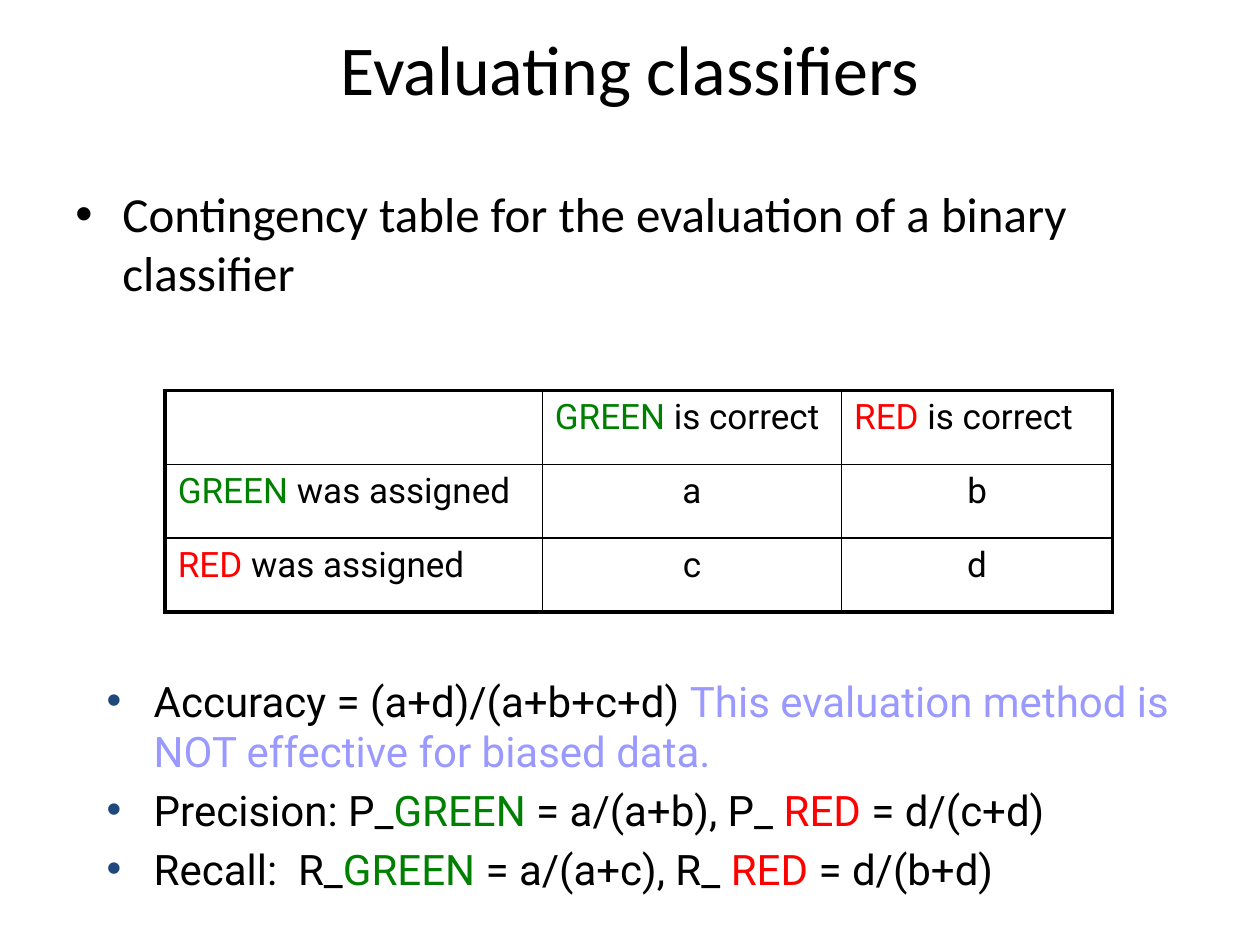
from lxml.etree import SubElement
from pptx import Presentation
from pptx.dml.color import RGBColor
from pptx.enum.text import MSO_ANCHOR as Anchor, PP_ALIGN as Align
from pptx.oxml.ns import qn
from pptx.util import Cm, Pt

BLACK = RGBColor(0, 0, 0)
GREEN = RGBColor(0, 0x80, 0)
RED = RGBColor(0xFF, 0, 0)
LILAC = RGBColor(0x99, 0x99, 0xFF)
NAVY = RGBColor(0x1F, 0x49, 0x7D)
THICK, THIN = Pt(2.25), Pt(1)


def write(paragraph, *runs, font="Roboto", size=24, align=Align.LEFT, before=0, bullet=None):
    paragraph.alignment = align
    paragraph.space_before = Pt(before)
    for words, color in runs:
        run = paragraph.add_run()
        run.text = words
        run.font.name = font
        run.font.size = Pt(size)
        run.font.color.rgb = color
    if bullet is not None:
        props = paragraph._p.get_or_add_pPr()
        props.set("marL", str(Cm(0.95)))
        props.set("indent", str(-Cm(0.95)))
        SubElement(SubElement(props, qn("a:buClr")), qn("a:srgbClr"), val=str(bullet))
        SubElement(props, qn("a:buFont"), typeface="Arial")
        SubElement(props, qn("a:buChar"), char="•")


def add_frame(slide, left, top, width, height, anchor=Anchor.TOP):
    frame = slide.shapes.add_textbox(left, top, width, height).text_frame
    frame.word_wrap = True
    frame.vertical_anchor = anchor
    return frame


def add_title(slide, *box):
    frame = add_frame(slide, *box, anchor=Anchor.MIDDLE)
    write(frame.paragraphs[0], ("Evaluating classifiers", BLACK),
          font="Calibri", size=40, align=Align.CENTER)


def add_intro(slide, *box):
    frame = add_frame(slide, *box)
    write(frame.paragraphs[0],
          ("Contingency table for the evaluation of a binary classifier", BLACK),
          font="Calibri", size=28, before=5.6, bullet=BLACK)


def set_borders(cell, **widths):
    props = cell._tc.get_or_add_tcPr()
    for position, (side, width) in enumerate(widths.items()):
        line = props.makeelement(qn(f"a:{side}"), {"w": str(width)})
        fill = SubElement(line, qn("a:solidFill"))
        SubElement(fill, qn("a:srgbClr"), val=str(BLACK))
        props.insert(position, line)


def add_contingency(slide, left, top, width, height):
    entries = [
        [(), (("GREEN", GREEN), (" is correct", BLACK)), (("RED", RED), (" is correct", BLACK))],
        [(("GREEN", GREEN), (" was assigned", BLACK)), (("a", BLACK),), (("b", BLACK),)],
        [(("RED", RED), (" was assigned", BLACK)), (("c", BLACK),), (("d", BLACK),)],
    ]
    last = len(entries) - 1
    table = slide.shapes.add_table(3, 3, left, top, width, height).table
    table.first_row = table.horz_banding = False
    for column, share in zip(table.columns, (0.398, 0.316, 0.286)):
        column.width = int(width * share)
    for r, row in enumerate(entries):
        for c, runs in enumerate(row):
            cell = table.cell(r, c)
            cell.fill.background()
            counted = r > 0 and c > 0
            write(cell.text_frame.paragraphs[0], *runs, size=20, before=4,
                  align=Align.CENTER if counted else Align.LEFT)
            set_borders(cell,
                        lnL=THICK if c == 0 else THIN,
                        lnR=THICK if c == last else THIN,
                        lnT=THICK if r == 0 else THIN,
                        lnB=THICK if r == last else THIN)


def add_measures(slide, *box):
    measures = [
        (("Accuracy = (a+d)/(a+b+c+d) ", BLACK),
         ("This evaluation method is NOT effective for biased data.", LILAC)),
        (("Precision: P_", BLACK), ("GREEN", GREEN), (" = a/(a+b), P_ ", BLACK),
         ("RED ", RED), ("= d/(c+d)", BLACK)),
        (("Recall:  R_", BLACK), ("GREEN", GREEN), (" = a/(a+c), R_ ", BLACK),
         ("RED ", RED), ("= d/(b+d)", BLACK)),
    ]
    frame = add_frame(slide, *box)
    frame.margin_top = Cm(1.39)
    for i, runs in enumerate(measures):
        paragraph = frame.add_paragraph() if i else frame.paragraphs[0]
        write(paragraph, *runs, before=4.8 if i else 0, bullet=NAVY)


deck = Presentation()
deck.slide_width, deck.slide_height = Cm(25.4), Cm(19.05)
slide = deck.slides.add_slide(deck.slide_layouts[6])
add_title(slide, Cm(0), Cm(0), Cm(25.4), Cm(2.74))
add_intro(slide, Cm(1.27), Cm(3.58), Cm(21.59), Cm(3.38))
add_contingency(slide, Cm(3.33), Cm(7.87), Cm(19.1), Cm(4.47))
add_measures(slide, Cm(1.9), Cm(12.22), Cm(22.66), Cm(6))
deck.save("out.pptx")
